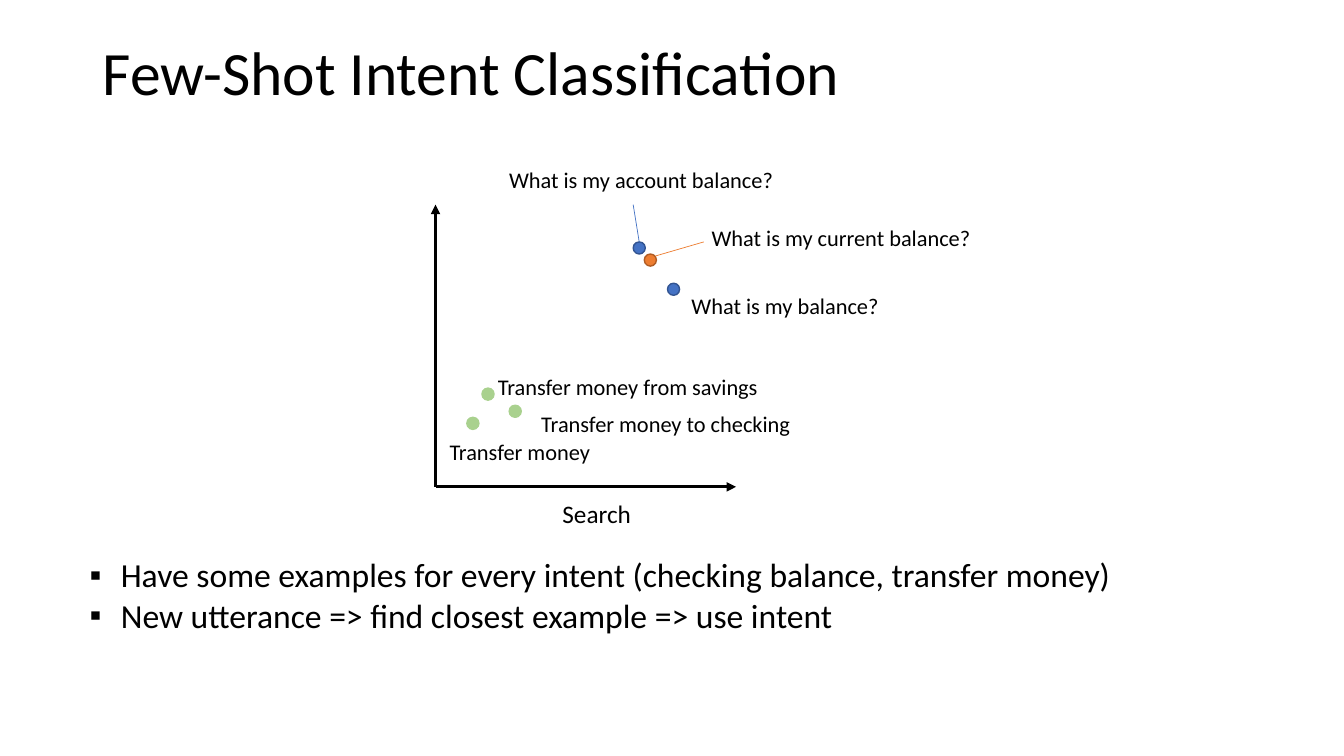
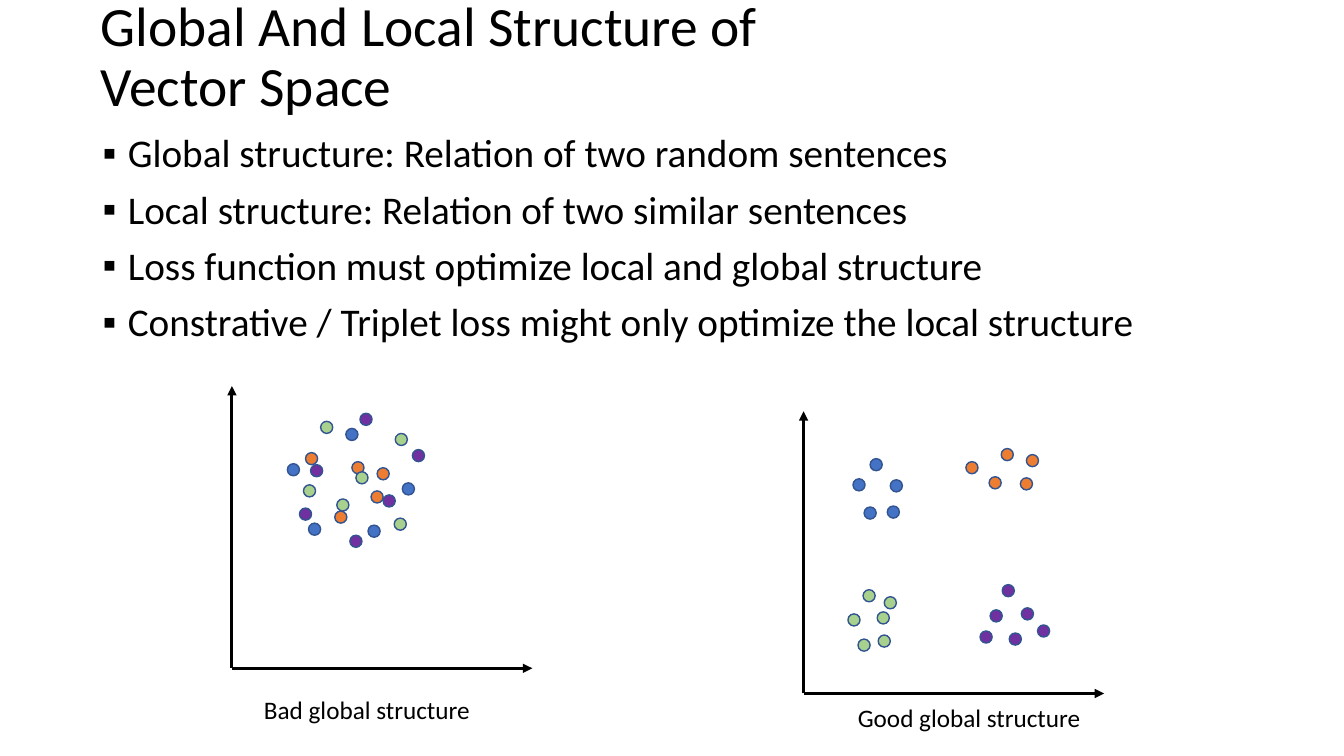
"""Build two slides on few-shot intent classification and vector space structure."""
from lxml.etree import SubElement
from pptx import Presentation
from pptx.dml.color import RGBColor
from pptx.enum.shapes import MSO_CONNECTOR, MSO_SHAPE
from pptx.enum.text import MSO_ANCHOR, MSO_AUTO_SIZE
from pptx.oxml.ns import qn
from pptx.util import Inches, Pt

FONT = "Calibri"
BLACK, NAVY, RUST = "000000", "325491", "AF5C24"
BLUE, ORANGE, GREEN, PURPLE = "4472C4", "ED7D31", "A9D18E", "7030A0"
DOT, UP, RIGHT = 0.12, 2.8, 2.98

INTENT = {
    "title": "Few-Shot Intent Classification",
    "origin": (4.32, 4.83),
    "dots": [
        (BLUE, NAVY, [(6.28, 2.4), (6.62, 2.81)]),
        (GREEN, GREEN, [(4.63, 4.14), (4.78, 3.85), (5.05, 4.02)]),
        (ORANGE, RUST, [(6.39, 2.52)]),
    ],
    "leads": [
        ((6.5, 2.54), (6.98, 2.4), ORANGE),
        ((6.28, 2.03), (6.34, 2.4), BLUE),
    ],
    "labels": [
        ("What is my current balance?", 6.96, 2.17, 2.8),
        ("What is my account balance?", 4.95, 1.6, 2.85),
        ("What is my balance?", 6.76, 2.85, 2.08),
        ("Transfer money", 4.36, 4.3, 1.61),
        ("Transfer money to checking", 5.27, 4.02, 2.7),
        ("Transfer money from savings", 4.84, 3.65, 2.81),
    ],
    "axis": ("Search", 5.48, 4.89, 0.89),
    "points": [
        "Have some examples for every intent (checking balance, transfer money)",
        "New utterance => find closest example => use intent",
    ],
}

SPACE = {
    "title": "Global And Local Structure of\vVector Space",
    "points": [
        "Global structure: Relation of two random sentences",
        "Local structure: Relation of two similar sentences",
        "Loss function must optimize local and global structure",
        "Constrative / Triplet loss might only optimize the local structure",
    ],
    "plots": [
        {
            "origin": (7.97, 6.88),
            "label": ("Good global structure", 8.41, 6.92, 2.43),
            "dots": {
                BLUE: [(8.46, 4.75), (8.8, 5.02), (8.63, 4.55), (8.83, 4.76), (8.57, 5.03)],
                ORANGE: [(9.58, 4.58), (10.18, 4.51), (9.93, 4.45), (9.81, 4.73), (10.12, 4.74)],
                GREEN: [(8.41, 6.09), (8.71, 6.3), (8.77, 5.92), (8.51, 6.34), (8.7, 6.07),
                        (8.56, 5.85)],
                PURPLE: [(9.82, 6.05), (9.72, 6.26), (10.01, 6.28), (10.13, 6.03), (10.29, 6.2),
                         (9.94, 5.8)],
            },
        },
        {
            "origin": (2.3, 6.63),
            "label": ("Bad global structure", 2.52, 6.84, 2.27),
            "dots": {
                BLUE: [(2.85, 4.6), (3.65, 5.21), (3.43, 4.25), (3.99, 4.79), (3.06, 5.19)],
                ORANGE: [(3.03, 4.49), (3.74, 4.64), (3.49, 4.58), (3.32, 5.07), (3.68, 4.87)],
                GREEN: [(3.01, 4.81), (3.91, 5.14), (3.92, 4.3), (3.34, 4.95), (3.53, 4.68),
                        (3.18, 4.18)],
                PURPLE: [(3.08, 4.61), (2.97, 5.04), (3.47, 5.31), (4.09, 4.46), (3.8, 4.91),
                         (3.57, 4.1)],
            },
        },
    ],
}


def rgb(code):
    return RGBColor.from_string(code)


def bullet(para, indent):
    props = para._p.get_or_add_pPr()
    props.set("marL", str(Inches(indent)))
    props.set("indent", str(-Inches(indent)))
    SubElement(props, qn("a:buFont"), typeface="Arial")
    SubElement(props, qn("a:buChar"), char="▪")


def write(slide, lines, x, y, w, h, size=16, wrap=True, anchor=MSO_ANCHOR.TOP,
          indent=0, lead=None, gap=0):
    frame = slide.shapes.add_textbox(Inches(x), Inches(y), Inches(w), Inches(h)).text_frame
    frame.word_wrap = wrap
    frame.auto_size = MSO_AUTO_SIZE.NONE if wrap else MSO_AUTO_SIZE.SHAPE_TO_FIT_TEXT
    frame.vertical_anchor = anchor
    for i, line in enumerate(lines):
        para = frame.add_paragraph() if i else frame.paragraphs[0]
        para.text = line
        if indent:
            bullet(para, indent)
        if lead:
            para.line_spacing = lead
        if i and gap:
            para.space_before = Pt(gap)
        for run in para.runs:
            run.font.name = FONT
            run.font.size = Pt(size)
            run.font.color.rgb = rgb(BLACK)


def title(slide, text, x, y, h, size):
    write(slide, [text], x, y, 11.5, h, size=size, anchor=MSO_ANCHOR.MIDDLE, lead=0.9)


def label(slide, item, h=0.37, size=16):
    text, x, y, w = item
    write(slide, [text], x, y, w, h, size=size, wrap=False)


def link(slide, start, end, color, width, arrow=False):
    ends = [Inches(n) for n in (*start, *end)]
    line = slide.shapes.add_connector(MSO_CONNECTOR.STRAIGHT, *ends)
    line.line.color.rgb = rgb(color)
    line.line.width = Pt(width)
    if arrow:
        SubElement(line.line._get_or_add_ln(), qn("a:tailEnd"), type="triangle")
    SubElement(line._element.spPr, qn("a:effectLst"))


def axes(slide, origin):
    x, y = origin
    for end in ((x, y - UP), (x + RIGHT, y)):
        link(slide, origin, end, BLACK, 2.25, arrow=True)


def scatter(slide, spots, fill, edge):
    for x, y in spots:
        dot = slide.shapes.add_shape(
            MSO_SHAPE.OVAL, Inches(x), Inches(y), Inches(DOT), Inches(DOT))
        dot.shadow.inherit = False
        dot.fill.solid()
        dot.fill.fore_color.rgb = rgb(fill)
        dot.line.color.rgb = rgb(edge)
        dot.line.width = Pt(1)


def draw_intent(slide):
    title(slide, INTENT["title"], 0.92, 0.02, 1.45, 44)
    axes(slide, INTENT["origin"])
    for fill, edge, spots in INTENT["dots"]:
        scatter(slide, spots, fill, edge)
    for start, end, color in INTENT["leads"]:
        link(slide, start, end, color, 0.5)
    for item in INTENT["labels"]:
        label(slide, item)
    label(slide, INTENT["axis"], h=0.4, size=18)
    write(slide, INTENT["points"], 0.79, 5.45, 10.35, 0.91, size=24, indent=0.31)


def draw_space(slide):
    title(slide, SPACE["title"], 0.9, 0.1, 0.96, 39.6)
    write(slide, SPACE["points"], 0.92, 1.28, 11.5, 2.4, size=28, indent=0.25, lead=0.9, gap=10)
    for plot in SPACE["plots"]:
        axes(slide, plot["origin"])
        for fill, spots in plot["dots"].items():
            scatter(slide, spots, fill, NAVY)
        label(slide, plot["label"], h=0.4, size=18)


def main():
    deck = Presentation()
    deck.slide_width, deck.slide_height = Inches(13.33), Inches(7.5)
    for draw in (draw_intent, draw_space):
        draw(deck.slides.add_slide(deck.slide_layouts[6]))
    deck.save("out.pptx")


if __name__ == "__main__":
    main()
